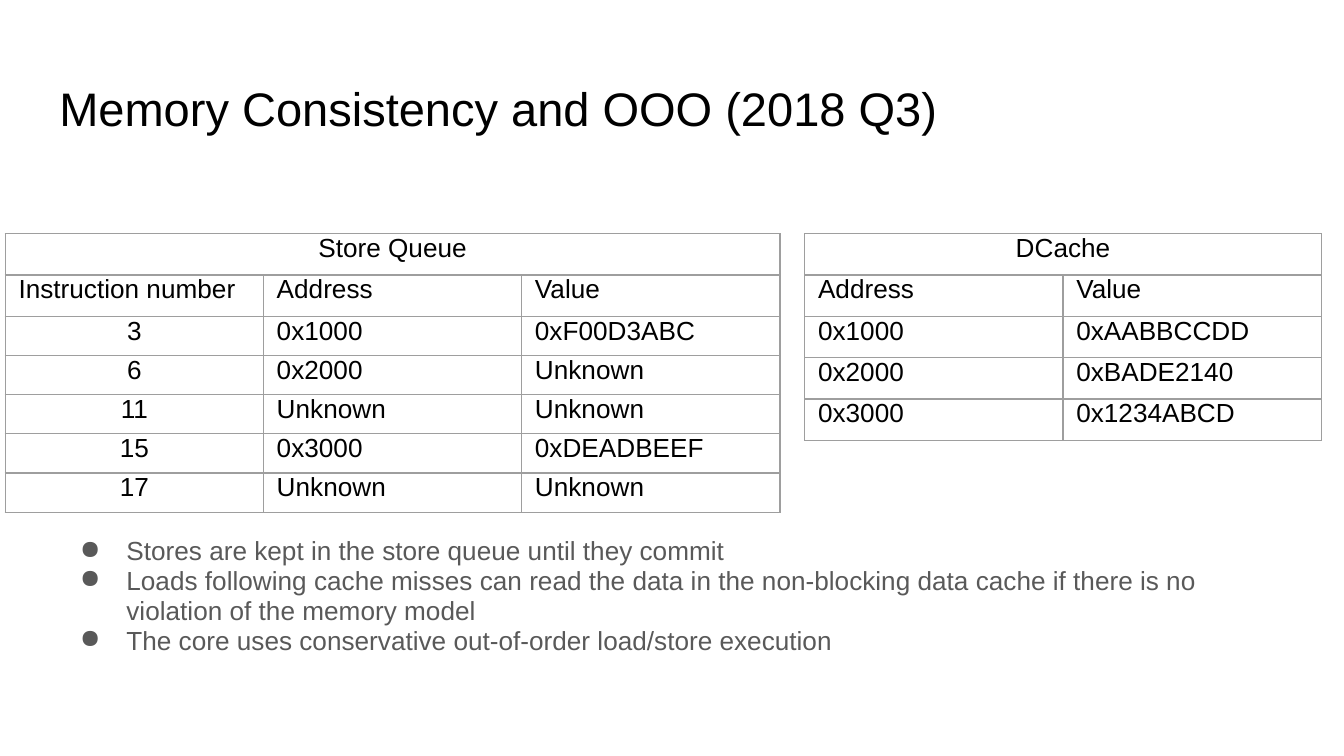
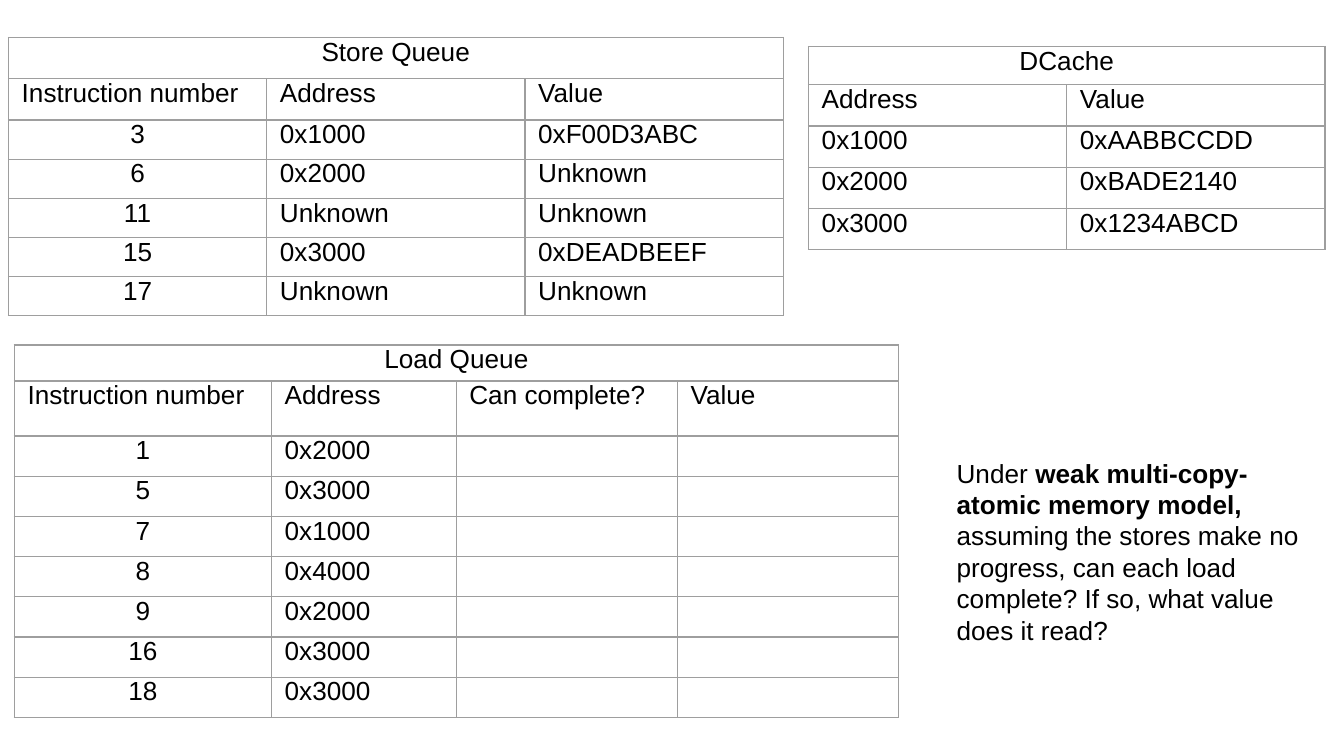
"""Build two slides on store queues, caches and memory consistency."""
from dataclasses import dataclass

from lxml.etree import SubElement as Sub
from pptx import Presentation
from pptx.dml.color import RGBColor as Rgb
from pptx.enum.text import MSO_ANCHOR as Anchor, PP_ALIGN as Align
from pptx.oxml.ns import qn
from pptx.util import Cm, Pt


@dataclass(frozen=True)
class Theme:
    font: str = "Arial"
    ink: str = "000000"
    soft: str = "595959"
    rule: str = "9E9E9E"
    head: float = 25.2
    body: float = 14
    pad: float = 0.25


THEME = Theme()

TITLE = "Memory Consistency and OOO (2018 Q3)"
NOTES = [
    "Stores are kept in the store queue until they commit",
    "Loads following cache misses can read the data in the non-blocking "
    "data cache if there is no violation of the memory model",
    "The core uses conservative out-of-order load/store execution",
]
TASK = [
    ("Under ", False),
    ("weak multi-copy-atomic memory model,", True),
    (" assuming the stores make no progress, can each load complete? "
     "If so, what value does it read?", False),
]
STORE = {
    "name": "Store Queue",
    "cols": [4.88] * 3,
    "rows": [0.78] * 2 + [0.74] * 5,
    "data": [
        ("Instruction number", "Address", "Value"),
        ("3", "0x1000", "0xF00D3ABC"),
        ("6", "0x2000", "Unknown"),
        ("11", "Unknown", "Unknown"),
        ("15", "0x3000", "0xDEADBEEF"),
        ("17", "Unknown", "Unknown"),
    ],
}
CACHE = {
    "name": "DCache",
    "cols": [4.88] * 2,
    "rows": [0.78] * 5,
    "data": [
        ("Address", "Value"),
        ("0x1000", "0xAABBCCDD"),
        ("0x2000", "0xBADE2140"),
        ("0x3000", "0x1234ABCD"),
    ],
}
LOAD = {
    "name": "Load Queue",
    "cols": [4.86, 3.49, 4.18, 4.18],
    "rows": [0.68, 1.04] + [0.76] * 7,
    "data": [
        ("Instruction number", "Address", "Can complete?", "Value"),
        ("1", "0x2000", "", ""),
        ("5", "0x3000", "", ""),
        ("7", "0x1000", "", ""),
        ("8", "0x4000", "", ""),
        ("9", "0x2000", "", ""),
        ("16", "0x3000", "", ""),
        ("18", "0x3000", "", ""),
    ],
}


def write(para, text, size=THEME.body, tint=THEME.ink, bold=False):
    """Add one styled run to a paragraph."""
    run = para.add_run()
    run.text = text
    font = run.font
    font.name, font.size, font.bold = THEME.font, Pt(size), bold
    font.color.rgb = Rgb.from_string(tint)


def inset(part, side, edge):
    """Set the left and right, then top and bottom, margins."""
    part.margin_left = part.margin_right = Cm(side)
    part.margin_top = part.margin_bottom = Cm(edge)


def border(cell):
    """Draw a thin rule on all four sides of a cell."""
    props = cell._tc.get_or_add_tcPr()
    for spot, side in enumerate(("lnL", "lnR", "lnT", "lnB")):
        line = props.makeelement(qn(f"a:{side}"), {"w": str(Pt(0.75))})
        fill = Sub(line, qn("a:solidFill"))
        Sub(fill, qn("a:srgbClr"), val=THEME.rule)
        props.insert(spot, line)


def grid(slide, left, top, name, cols, rows, data):
    """Place a table with one merged heading row."""
    frame = slide.shapes.add_table(len(rows), len(cols), Cm(left), Cm(top),
                                   Cm(sum(cols)), Cm(sum(rows)))
    table = frame.table
    table.first_row = table.horz_banding = False
    for col, width in zip(table.columns, cols):
        col.width = Cm(width)
    for row, height in zip(table.rows, rows):
        row.height = Cm(height)
    lines = [(name,) + ("",) * (len(cols) - 1)] + data
    for y, line in enumerate(lines):
        for x, text in enumerate(line):
            cell = table.cell(y, x)
            cell.fill.background()
            inset(cell, THEME.pad, 0)
            border(cell)
            para = cell.text_frame.paragraphs[0]
            para.font.size = Pt(THEME.body)
            if text:
                write(para, text)
            if y == 0 or text.isdigit():
                para.alignment = Align.CENTER
    table.cell(0, 0).merge(table.cell(0, len(cols) - 1))


def box(slide, left, top, width, height):
    """Add a wrapping text box and return its frame."""
    frame = slide.shapes.add_textbox(
        Cm(left), Cm(top), Cm(width), Cm(height)).text_frame
    frame.word_wrap = True
    inset(frame, THEME.pad, THEME.pad)
    return frame


def bullet(para, text):
    """Write a bulleted line with a hanging indent."""
    props = para._p.get_or_add_pPr()
    props.set("marL", str(Cm(1.27)))
    props.set("indent", str(Cm(-0.88)))
    para.line_spacing = 0.95
    Sub(Sub(props, qn("a:buClr")), qn("a:srgbClr"), val=THEME.soft)
    Sub(props, qn("a:buChar"), char="●")
    write(para, text, tint=THEME.soft)


def intro(deck):
    """Build the titled slide with two tables and notes."""
    slide = deck.slides.add_slide(deck.slide_layouts[5])
    title = slide.shapes.title
    title.left, title.top = Cm(0.87), Cm(1.24)
    title.width, title.height = Cm(23.67), Cm(1.6)
    frame = title.text_frame
    inset(frame, THEME.pad, THEME.pad)
    frame.vertical_anchor = Anchor.MIDDLE
    para = frame.paragraphs[0]
    para.alignment = Align.LEFT
    write(para, TITLE, THEME.head)
    grid(slide, 0.1, 4.42, **STORE)
    grid(slide, 15.21, 4.42, **CACHE)
    frame = box(slide, 0.87, 9.9, 23.67, 2.8)
    for spot, note in enumerate(NOTES):
        bullet(frame.add_paragraph() if spot else frame.paragraphs[0], note)


def quiz(deck):
    """Build the slide with three tables and the question."""
    slide = deck.slides.add_slide(deck.slide_layouts[6])
    grid(slide, 0.16, 0.71, **STORE)
    grid(slide, 15.28, 0.88, **{**CACHE, "rows": [0.72] + [0.78] * 4})
    para = box(slide, 17.83, 8.39, 7.44, 4.12).paragraphs[0]
    for text, bold in TASK:
        write(para, text, bold=bold)
    grid(slide, 0.27, 6.52, **LOAD)


def main():
    """Create and save the deck."""
    deck = Presentation()
    deck.slide_width, deck.slide_height = Cm(25.4), Cm(14.29)
    intro(deck)
    quiz(deck)
    deck.save("out.pptx")


if __name__ == "__main__":
    main()
